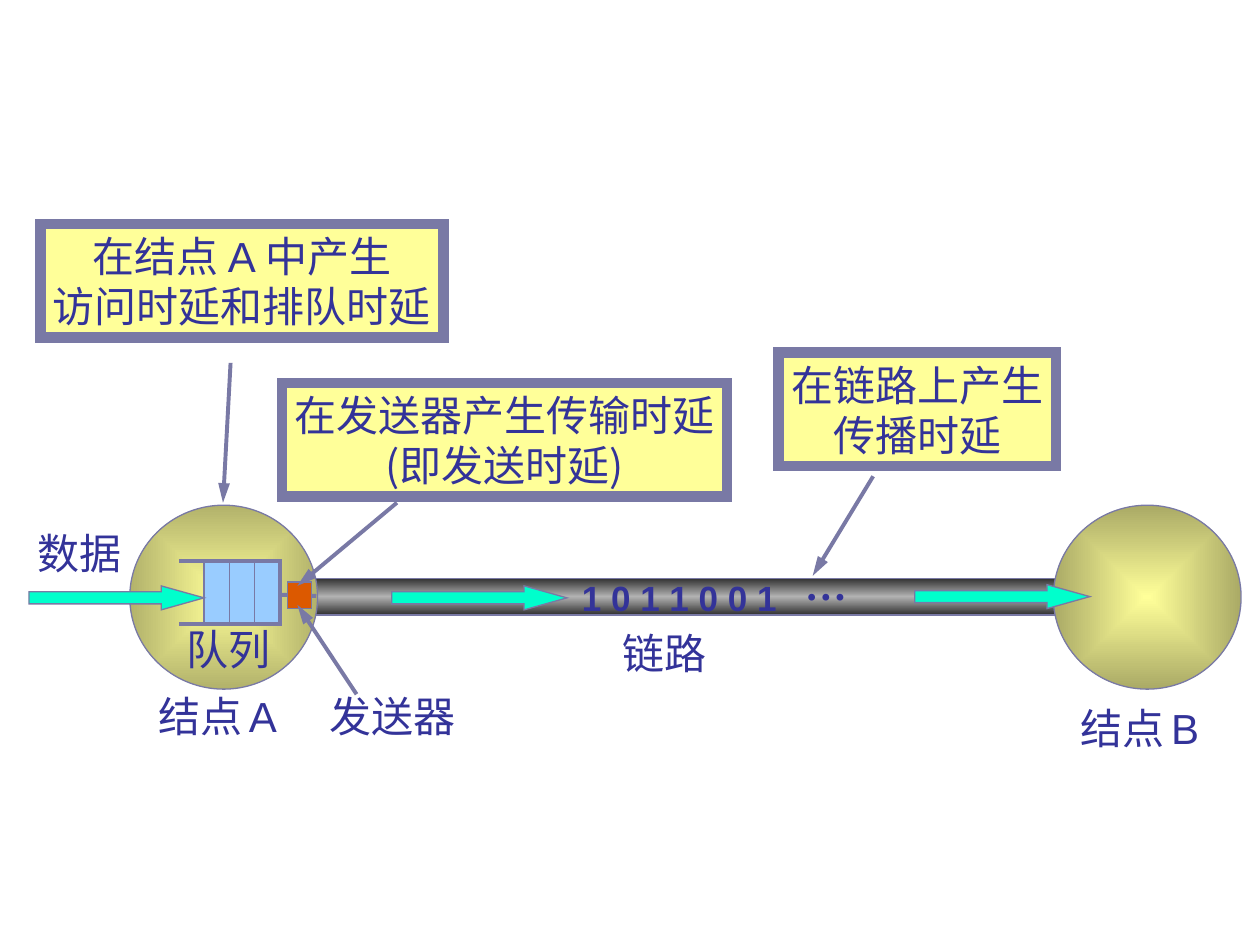
from lxml import etree
from pptx import Presentation
from pptx import util as u
from pptx.dml.color import RGBColor
from pptx.enum import shapes, text
from pptx.oxml import ns, parse_xml

PX = 9144  # 100 px to the inch
OUTLINE, INK = "7979A5", "333399"
PALE, SKY, MINT, ORANGE = "FFFF99", "99CCFF", "00FFCC", "DC5900"
SERIF, SANS, CJK = "Times New Roman", "Arial", "Noto Sans CJK SC"
LINEAR = '<a:lin ang="5400000" scaled="0"/>'
CENTRED = ('<a:path path="rect"><a:fillToRect l="50000" t="50000" '
           'r="50000" b="50000"/></a:path>')


def px(*lengths):
    return [u.Emu(length * PX) for length in lengths]


def rgb(hex_string):
    return RGBColor.from_string(hex_string)


def set_outline(shape, width):
    """Draw the outline with square corners."""
    shape.line.color.rgb = rgb(OUTLINE)
    shape.line.width = u.Pt(width)
    outline = shape._element.spPr.find(ns.qn("a:ln"))
    etree.SubElement(outline, ns.qn("a:miter"), lim="800000")
    return outline


def add_box(slide, kind, box, fill=None, width=0.75):
    shape = slide.shapes.add_shape(kind, *px(*box))
    shape.shadow.inherit = False
    if fill:
        shape.fill.solid()
        shape.fill.fore_color.rgb = rgb(fill)
    set_outline(shape, width)
    return shape


def set_gradient(shape, stops, direction):
    """Shade the shape through (percent, colour) stops."""
    shape.fill.gradient()
    old = shape._element.spPr.find(ns.qn("a:gradFill"))
    marks = "".join(
        f'<a:gs pos="{percent * 1000}"><a:srgbClr val="{color}"/></a:gs>'
        for percent, color in stops)
    new = parse_xml(f'<a:gradFill {ns.nsdecls("a")} rotWithShape="1">'
                    f'<a:gsLst>{marks}</a:gsLst>{direction}</a:gradFill>')
    old.getparent().replace(old, new)


def add_line(slide, start, end, width=2.25, arrow=False):
    line = slide.shapes.add_connector(
        shapes.MSO_CONNECTOR.STRAIGHT, *px(*start, *end))
    outline = set_outline(line, width)
    if arrow:
        etree.SubElement(outline, ns.qn("a:tailEnd"),
                         type="triangle", w="med", len="lg")
    etree.SubElement(line._element.spPr, ns.qn("a:effectLst"))


def write(shape, lines, align, bold=None):
    """Fill the shape with lines, each a list of (text, font, size) runs."""
    frame = shape.text_frame
    for index, runs in enumerate(lines):
        paragraph = frame.add_paragraph() if index else frame.paragraphs[0]
        paragraph.alignment = align
        for words, font, size in runs:
            run = paragraph.add_run()
            run.text = words
            run.font.name = font
            run.font.size = u.Pt(size)
            run.font.bold = bold
            run.font.color.rgb = rgb(INK)


def add_label(slide, box, runs, bold=None):
    shape = slide.shapes.add_textbox(*px(*box))
    shape.text_frame.word_wrap = True
    write(shape, [runs], text.PP_ALIGN.LEFT, bold)


def add_callout(slide, box, lines, start, end):
    """Framed note with an arrow to the place it explains."""
    add_line(slide, start, end, arrow=True)
    shape = add_box(slide, shapes.MSO_SHAPE.RECTANGLE, box, PALE, 6)
    shape.text_frame.word_wrap = False
    write(shape, lines, text.PP_ALIGN.CENTER)


def add_node(slide, box, edge):
    shape = add_box(slide, shapes.MSO_SHAPE.OVAL, box)
    set_gradient(shape, [(0, PALE), (100, edge)], CENTRED)


def add_link(slide, box):
    shape = add_box(slide, shapes.MSO_SHAPE.RECTANGLE, box)
    set_gradient(shape, [(0, "313131"), (50, "B2B2B2"), (100, "313131")], LINEAR)


def add_queue(slide, box):
    """Buffer open on the left, with its right three quarters filled."""
    left, top, width, height = box
    right, bottom, cell = left + width, top + height, width // 4
    first = right - 3 * cell
    add_box(slide, shapes.MSO_SHAPE.RECTANGLE,
            (first, top, 3 * cell, height), SKY)
    builder = slide.shapes.build_freeform(left, top, scale=PX)
    builder.add_line_segments([(right, top), (right, bottom), (left, bottom)],
                              close=False)
    wall = builder.convert_to_shape()
    wall.shadow.inherit = False
    wall.fill.background()
    set_outline(wall, 2.25)
    for x in range(first, right, cell):
        add_line(slide, (x, top), (x, bottom), 0.75)


def add_transmitter(slide, box):
    left, top, width, height = box
    middle = top + height // 2
    add_line(slide, (left - 7, middle), (left + width + 4, middle + 1))
    add_box(slide, shapes.MSO_SHAPE.RECTANGLE, box, ORANGE)


def add_flow(slide, left, top):
    arrow = add_box(slide, shapes.MSO_SHAPE.RIGHT_ARROW,
                    (left, top, 139, 19), MINT)
    arrow.adjustments[0] = 0.5
    arrow.adjustments[1] = 1.79


def main():
    presentation = Presentation()
    presentation.slide_width, presentation.slide_height = px(1000, 750)
    slide = presentation.slides.add_slide(presentation.slide_layouts[6])

    add_link(slide, (241, 459, 604, 29))
    add_node(slide, (103, 401, 149, 146), "B2B26B")
    add_node(slide, (836, 401, 149, 146), "AAAA66")
    add_queue(slide, (142, 445, 80, 50))
    add_transmitter(slide, (228, 462, 19, 21))
    for left, top in [(311, 465), (23, 465), (726, 464)]:
        add_flow(slide, left, top)

    add_label(slide, (452, 453, 180, 44), [("1 0 1 1 0 0 1", SANS, 20)], True)
    add_label(slide, (629, 438, 56, 50), [("…", SERIF, 24)], True)
    for words, box in [("发送器", (252, 543, 125, 50)),
                       ("队列", (138, 490, 90, 50)),
                       ("数据", (20, 414, 90, 50)),
                       ("链路", (484, 493, 90, 50))]:
        add_label(slide, box, [(words, SERIF, 24)])
    for name, left, top in [("A", 116, 543), ("B", 848, 553)]:
        add_label(slide, (left, top, 125, 50),
                  [("结点", SERIF, 24), (" ", SANS, 16), (name, SANS, 24)])

    add_callout(slide, (618, 280, 220, 90),
                [[("在链路上产生", CJK, 24)], [("传播时延", CJK, 24)]],
                (693, 378), (645, 457))
    add_callout(slide, (224, 304, 353, 90),
                [[("在发送器产生传输时延", CJK, 24)],
                 [("(即发送时延)", CJK, 24)]],
                (315, 399), (236, 465))
    add_callout(slide, (32, 178, 320, 90),
                [[("在结点 ", CJK, 24), ("A ", SANS, 24), ("中产生", CJK, 24)],
                 [("访问时延和排队时延", CJK, 24)]],
                (183, 288), (177, 399))
    add_line(slide, (283, 551), (236, 480), arrow=True)

    presentation.save("out.pptx")


if __name__ == "__main__":
    main()
